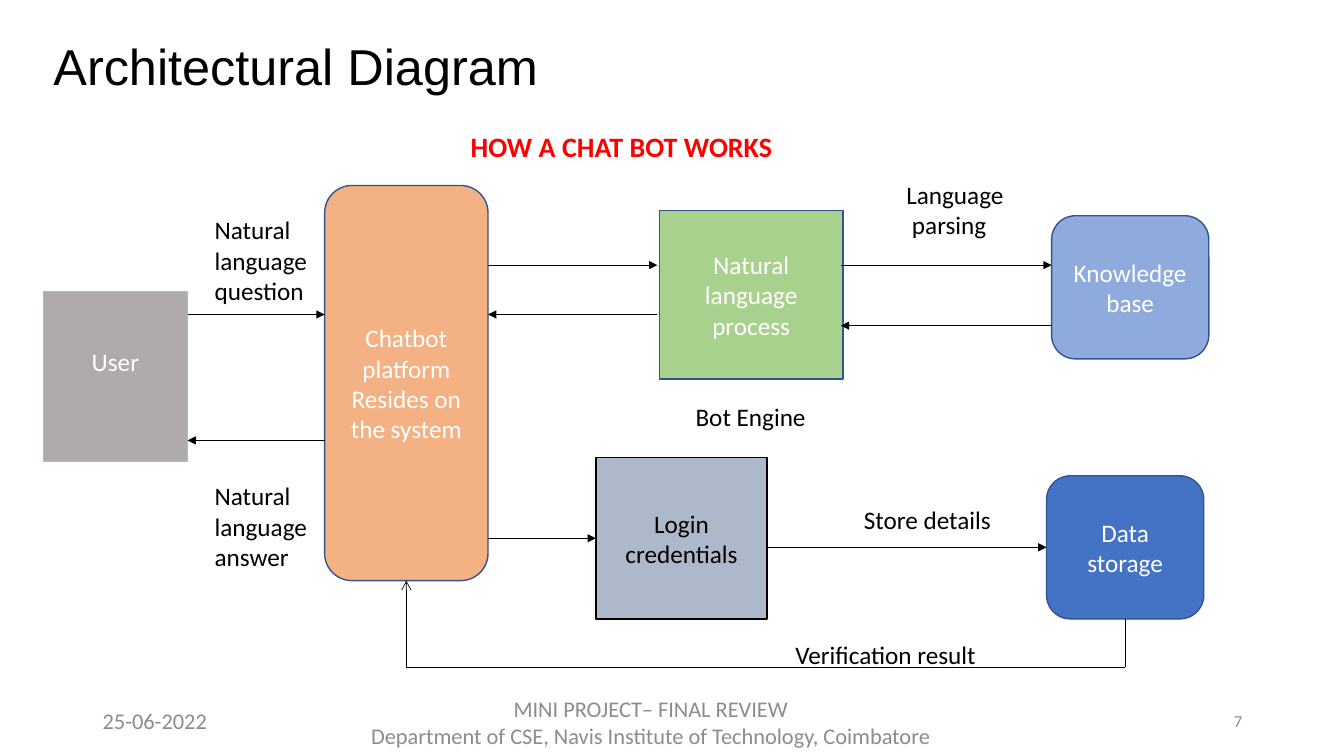
from lxml import etree
from pptx import Presentation
from pptx.dml.color import RGBColor
from pptx.enum.shapes import MSO_CONNECTOR, MSO_SHAPE
from pptx.enum.text import MSO_ANCHOR, MSO_AUTO_SIZE, PP_ALIGN
from pptx.oxml.ns import qn
from pptx.util import Emu, Pt

RECT, ROUND = MSO_SHAPE.RECTANGLE, MSO_SHAPE.ROUNDED_RECTANGLE
STRAIGHT = MSO_CONNECTOR.STRAIGHT
TOP_ANCHOR, MIDDLE = MSO_ANCHOR.TOP, MSO_ANCHOR.MIDDLE
LEFT, CENTER, RIGHT = PP_ALIGN.LEFT, PP_ALIGN.CENTER, PP_ALIGN.RIGHT
FIT_TEXT = MSO_AUTO_SIZE.SHAPE_TO_FIT_TEXT
LEFT_SIDE, BOTTOM_SIDE = 1, 2

BLACK = RGBColor(0x00, 0x00, 0x00)
WHITE = RGBColor(0xFF, 0xFF, 0xFF)
RED = RGBColor(0xFF, 0x00, 0x00)
FOOTER_GRAY = RGBColor(0x8C, 0x8C, 0x8C)
OUTLINE_BLUE = RGBColor(0x32, 0x54, 0x91)
ORANGE = RGBColor(0xF4, 0xB1, 0x83)
GREEN = RGBColor(0xA9, 0xD1, 0x8E)
LIGHT_BLUE = RGBColor(0x8F, 0xAA, 0xDC)
BLUE = RGBColor(0x44, 0x72, 0xC4)
WARM_GRAY = RGBColor(0xAF, 0xAB, 0xAB)
BLUE_GRAY = RGBColor(0xAD, 0xB9, 0xCA)


def px(length):
    """Turn px (100 to the inch) into EMU."""
    return Emu(length * 9144)


class Diagram:
    """Holds the text style and the current slide."""

    style = {"name": "Calibri", "size": Pt(18), "bold": False}

    def __init__(self, slide):
        self.slide = slide

    def add_text(self, frame, lines, color, align, **formats):
        for index, line in enumerate(lines):
            para = frame.paragraphs[0] if index == 0 else frame.add_paragraph()
            para.alignment = align
            span = para.add_run()
            span.text = line
            for name, value in {**self.style, **formats}.items():
                setattr(span.font, name, value)
            span.font.color.rgb = color

    def title(self, text, place):
        title = self.slide.shapes.title
        title.left, title.top, title.width, title.height = map(px, place)
        title.text_frame.vertical_anchor = MIDDLE
        self.add_text(title.text_frame, [text], BLACK, LEFT,
                      name="Arial", size=Pt(36))
        title.text_frame.paragraphs[0].line_spacing = 0.9

    def box(self, kind, place, lines, fill, line=OUTLINE_BLUE, color=WHITE):
        box = self.slide.shapes.add_shape(kind, *map(px, place))
        box.shadow.inherit = False
        box.fill.solid()
        box.fill.fore_color.rgb = fill
        box.line.color.rgb = line
        box.line.width = Pt(1)
        box.text_frame.word_wrap = True
        box.text_frame.vertical_anchor = MIDDLE
        self.add_text(box.text_frame, lines, color, CENTER)
        return box

    def label(self, place, lines, color=BLACK, **formats):
        """A text box that fits its text."""
        frame = self.slide.shapes.add_textbox(*map(px, place)).text_frame
        frame.word_wrap = False
        frame.auto_size = FIT_TEXT
        frame.vertical_anchor = TOP_ANCHOR
        self.add_text(frame, lines, color, LEFT, **formats)

    def footer(self, place, lines, align, size):
        frame = self.slide.shapes.add_textbox(*map(px, place)).text_frame
        frame.word_wrap = True
        frame.vertical_anchor = MIDDLE
        self.add_text(frame, lines, FOOTER_GRAY, align, size=Pt(size))

    def line(self, start, end, head="triangle", begin=None, finish=None):
        """A line; begin and finish are (box, side) pairs to join."""
        line = self.slide.shapes.add_connector(
            STRAIGHT, *map(px, (*start, *end)))
        if begin:
            line.begin_connect(*begin)
        if finish:
            line.end_connect(*finish)
        line.line.color.rgb = BLACK
        line.line.width = Pt(0.5)
        properties = line._element.spPr
        if head:
            outline = properties.find(qn("a:ln"))
            etree.SubElement(outline, qn("a:tailEnd"), type=head)
        etree.SubElement(properties, qn("a:effectLst"))


def main():
    deck = Presentation()
    deck.slide_width, deck.slide_height = px(1333), px(750)
    page = Diagram(deck.slides.add_slide(deck.slide_layouts[5]))

    # Title and heading
    page.title("Architectural Diagram", (43, 20, 1150, 97))
    page.label((457, 124, 320, 44), ["HOW A CHAT BOT WORKS"], RED,
               size=Pt(20), bold=True)

    # Boxes
    user = page.box(RECT, (43, 289, 143, 169), ["User"], WARM_GRAY, BLUE_GRAY)
    user.text_frame.margin_bottom = px(35)
    chatbot = page.box(ROUND, (322, 184, 162, 392),
                       ["Chatbot platform", "Resides on the system"], ORANGE)
    page.box(RECT, (654, 209, 182, 167), ["Natural language", "process"], GREEN)
    page.box(ROUND, (1043, 214, 156, 142), ["Knowledge", "base"], LIGHT_BLUE)
    login = page.box(RECT, (591, 454, 170, 160), ["Login", "credentials"],
                     BLUE_GRAY, BLACK, BLACK)
    storage = page.box(ROUND, (1038, 472, 156, 142), ["Data storage"], BLUE)

    # Arrows between the boxes
    for start_x, end_x, y in (
        (186, 322, 312), (322, 186, 437),
        (484, 652, 263), (652, 484, 312),
        (834, 1043, 263), (1043, 834, 323),
    ):
        page.line((start_x, y), (end_x, y))
    page.line((484, 534), (591, 534), finish=(login, LEFT_SIDE))
    page.line((761, 543), (1038, 543), finish=(storage, LEFT_SIDE))

    # Return route from the storage to the chatbot
    page.line((1116, 614), (1116, 662), None, begin=(storage, BOTTOM_SIDE))
    page.line((1116, 662), (403, 662), None)
    page.line((403, 662), (403, 576), "arrow", finish=(chatbot, BOTTOM_SIDE))

    # Labels
    for place, lines in (
        ((203, 208, 119, 101), ["Natural", "language", "question"]),
        ((203, 472, 119, 101), ["Natural", "language", "answer"]),
        ((889, 173, 118, 71), ["Language", " parsing"]),
        ((680, 393, 131, 40), ["Bot Engine"]),
        ((847, 495, 148, 40), ["Store details"]),
        ((779, 629, 201, 40), ["Verification result"]),
    ):
        page.label(place, lines)

    # Footer
    page.footer((92, 695, 300, 40), ["25-06-2022"], LEFT, 16)
    page.footer((353, 682, 585, 68), [
        "MINI PROJECT– FINAL REVIEW",
        "Department of CSE, Navis Institute of Technology, Coimbatore",
    ], CENTER, 16)
    page.footer((942, 695, 300, 40), ["7"], RIGHT, 12)

    deck.save("out.pptx")


if __name__ == "__main__":
    main()
